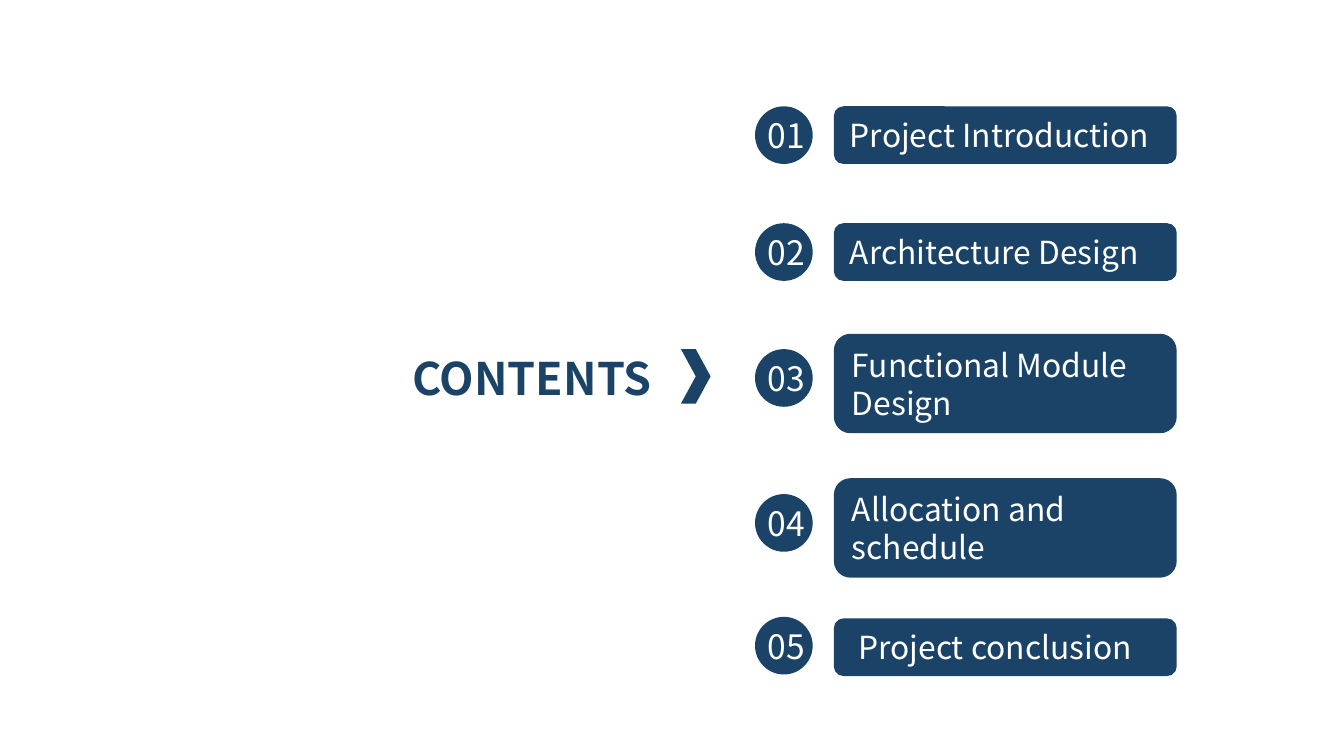
from dataclasses import dataclass

from pptx import Presentation
from pptx.dml.color import RGBColor
from pptx.enum.shapes import MSO_AUTO_SHAPE_TYPE as Preset
from pptx.enum.text import MSO_ANCHOR as Anchor, MSO_AUTO_SIZE as AutoSize, PP_ALIGN as Align
from pptx.shapes.autoshape import Shape
from pptx.util import Cm, Pt

COLORS = {"navy": "1B4367", "white": "FFFFFF"}
FONT = "Noto Sans CJK SC"

# Shared columns and sizes, in centimetres
CARD_LEFT, CARD_WIDTH = 15.76, 6.48
BADGE_LEFT, BADGE_SIZE = 14.27, 1.09
NUMBER_LEFT, NUMBER_WIDTH, NUMBER_HEIGHT = 14.2, 1.32, 1.02
ONE_LINE, TWO_LINES = 1.09, 1.88


@dataclass(frozen=True)
class Chapter:
    heading: str
    card_top: float
    card_height: float
    badge_top: float
    indent: float = 0.25


CHAPTERS = [
    Chapter("Project Introduction", 2.01, ONE_LINE, 2.01),
    Chapter("Architecture Design", 4.22, ONE_LINE, 4.22),
    Chapter("Functional Module Design", 6.31, TWO_LINES, 6.6),
    Chapter("Allocation and schedule", 9.04, TWO_LINES, 9.34),
    Chapter("Project conclusion", 11.69, ONE_LINE, 11.66, indent=0.41),
]


def color(name: str) -> RGBColor:
    return RGBColor.from_string(COLORS[name])


def write(shape: Shape, text: str, size: float, ink: str,
          align: Align = Align.LEFT, bold: bool = False, indent: float = 0.25) -> None:
    frame = shape.text_frame
    frame.text = text
    frame_format = {
        "word_wrap": True,
        "auto_size": AutoSize.NONE,
        "vertical_anchor": Anchor.MIDDLE,
        "margin_left": Cm(indent),
    }
    for name, value in frame_format.items():
        setattr(frame, name, value)

    paragraph = frame.paragraphs[0]
    paragraph.alignment = align
    font = paragraph.runs[0].font
    for name, value in {"name": FONT, "size": Pt(size), "bold": bold}.items():
        setattr(font, name, value)
    font.color.rgb = color(ink)


def add_solid(shapes, preset: Preset, left: float, top: float,
              width: float, height: float) -> Shape:
    solid = shapes.add_shape(preset, Cm(left), Cm(top), Cm(width), Cm(height))
    solid.shadow.inherit = False
    solid.fill.solid()
    solid.fill.fore_color.rgb = color("navy")
    solid.line.fill.background()
    return solid


def add_chapter(shapes, number: int, chapter: Chapter) -> None:
    # Heading card
    card = add_solid(shapes, Preset.ROUNDED_RECTANGLE, CARD_LEFT, chapter.card_top,
                     CARD_WIDTH, chapter.card_height)
    write(card, chapter.heading, 17, "white", indent=chapter.indent)

    # Numbered badge
    badge = shapes.add_group_shape().shapes
    add_solid(badge, Preset.OVAL, BADGE_LEFT, chapter.badge_top, BADGE_SIZE, BADGE_SIZE)
    number_top = chapter.badge_top + (BADGE_SIZE - NUMBER_HEIGHT) / 2
    label = badge.add_textbox(Cm(NUMBER_LEFT), Cm(number_top),
                              Cm(NUMBER_WIDTH), Cm(NUMBER_HEIGHT))
    write(label, f"{number:02d}", 18, "white", Align.CENTER)


def main() -> None:
    deck = Presentation()
    deck.slide_width, deck.slide_height = Cm(25.4), Cm(14.29)
    slide = deck.slides.add_slide(deck.slide_layouts[5])

    # Title and the chevron pointing to the chapters
    contents = slide.shapes.title
    placement = {"left": 7.54, "top": 6.5, "width": 5.87, "height": 1.27}
    for name, value in placement.items():
        setattr(contents, name, Cm(value))
    write(contents, "CONTENTS", 24, "navy", bold=True)
    add_solid(slide.shapes, Preset.CHEVRON, 12.87, 6.6, 0.56, 1.03)

    # Chapter list
    for number, chapter in enumerate(CHAPTERS, start=1):
        add_chapter(slide.shapes, number, chapter)

    deck.save("out.pptx")


if __name__ == "__main__":
    main()
